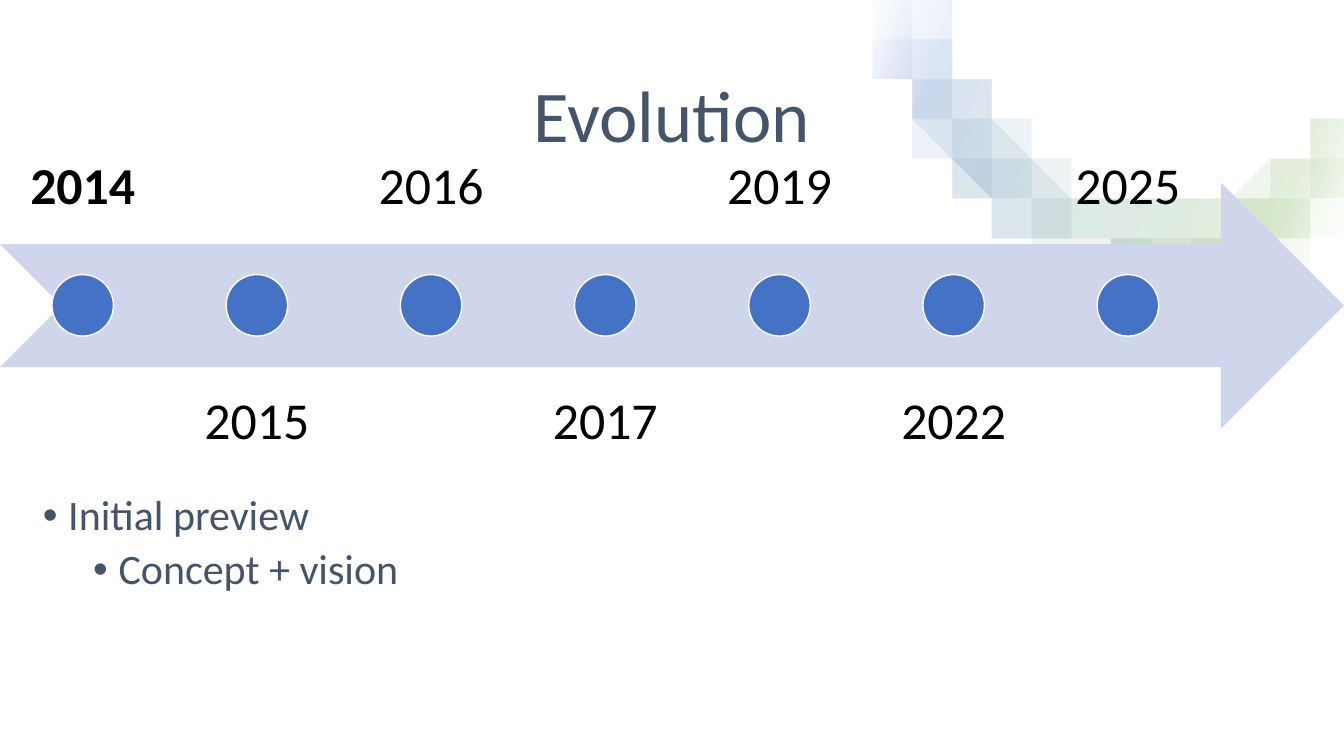
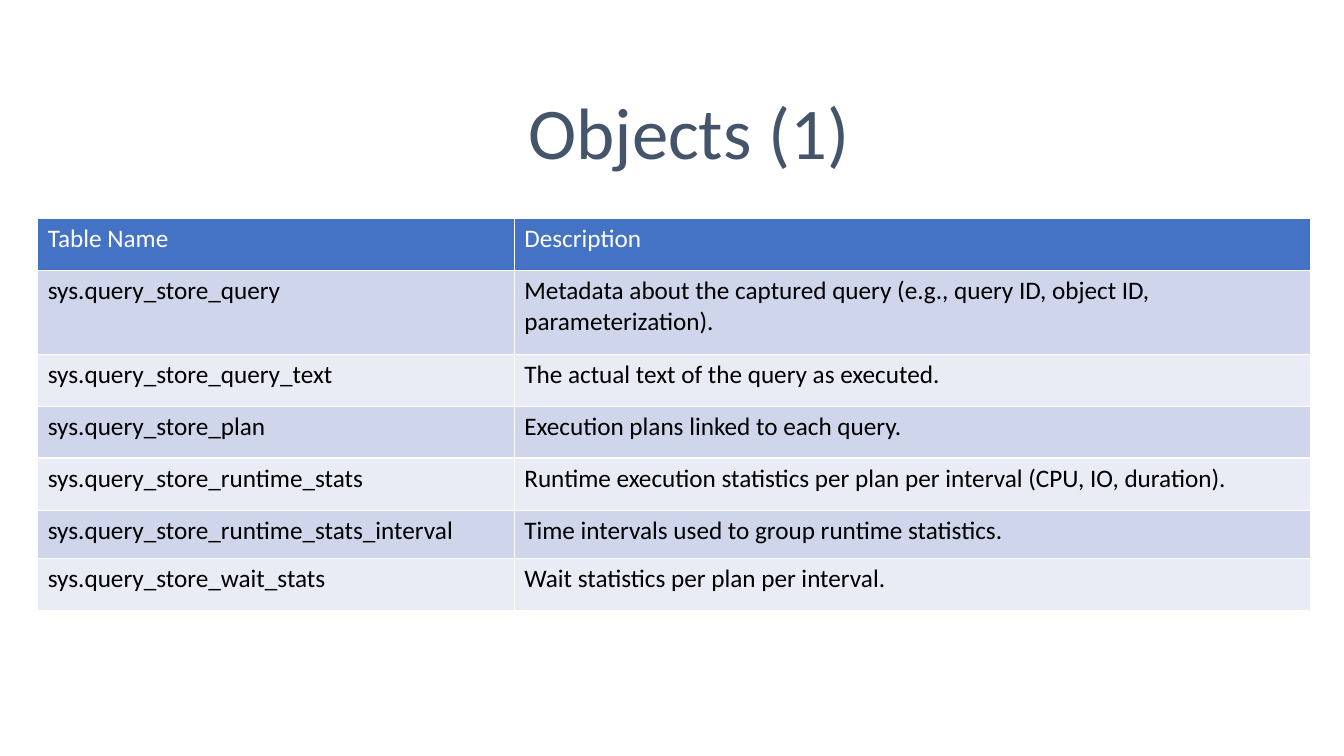
from lxml import etree
from pptx import Presentation
from pptx import util as u
from pptx.dml.color import RGBColor
from pptx.enum import shapes, text
from pptx.oxml import ns, parse_xml

FONT = "Calibri"
COLORS = {"title": "44546A", "accent": "4472C4", "green": "70AD47", "band": "CFD5EA",
          "light": "E9EBF5", "white": "FFFFFF", "black": "000000"}
CENTER = text.PP_ALIGN.CENTER
TOP, BOTTOM = text.MSO_ANCHOR.TOP, text.MSO_ANCHOR.BOTTOM


def write(frame, content, size=18, color="black", bold=False, align=None, anchor=TOP,
          inset=None, line=None, after=0, bullet_level=None, more=False):
    """Write one paragraph into a text frame; more=True adds it below the others."""
    paragraph = frame.add_paragraph() if more else frame.paragraphs[0]
    frame.word_wrap = True
    frame.vertical_anchor = anchor
    if inset is not None:
        frame.margin_left = frame.margin_right = u.Cm(inset)
        frame.margin_top = frame.margin_bottom = u.Cm(inset)
    paragraph.alignment = align
    paragraph.line_spacing = line
    paragraph.space_after = u.Pt(after)
    if bullet_level is not None:
        paragraph.level = bullet_level
        properties = paragraph._p.get_or_add_pPr()
        properties.set("marL", str(u.Cm(1.27 * (bullet_level + 1))))
        properties.set("indent", str(-u.Cm(0.64)))
        etree.SubElement(properties, ns.qn("a:buFont"), typeface="Arial")
        etree.SubElement(properties, ns.qn("a:buChar"), char="•")
    run = paragraph.add_run()
    run.text = content
    run.font.name, run.font.size, run.font.bold = FONT, u.Pt(size), bold
    run.font.color.rgb = RGBColor.from_string(COLORS[color])


def smooth(knots, steps=6):
    """Return points on a smooth curve through the knots."""
    padded = [knots[0], *knots, knots[-1]]
    points = [knots[0]]
    for a, b, c, d in zip(padded, padded[1:], padded[2:], padded[3:]):
        for step in range(1, steps + 1):
            t = step / steps
            points.append(tuple(
                b[i] + (c[i] - a[i]) * t / 2
                + (2 * a[i] - 5 * b[i] + 4 * c[i] - d[i]) * t ** 2 / 2
                + (3 * b[i] - a[i] - 3 * c[i] + d[i]) * t ** 3 / 2 for i in (0, 1)))
    return points


presentation = Presentation()
presentation.slide_width, presentation.slide_height = u.Cm(33.87), u.Cm(19.05)

# Slides with their titles; the ribbon goes behind the first title
titles = [("Evolution", 3.28, 1.32), ("Objects (1)", 3.71, 1.75)]
timeline_slide, objects_slide = [
    presentation.slides.add_slide(presentation.slide_layouts[6]) for _ in titles]

# Ribbon: upper and lower edge of each translucent layer, in cm
wide_edge = [(21.97, 0), (22.58, 1.91), (23.72, 3.43), (25.25, 5.11), (27.13, 6.22),
             (29.57, 6.6), (31.7, 6.15), (33.5, 5.08), (33.87, 4.83)]
ribbon_layers = [
    ([(21.95, 0), (22, 0.69), (22.23, 1.37), (22.78, 2.29), (23.72, 3.43), (24.92, 4.8),
      (26.04, 5.64), (27.33, 6.22), (28.7, 6.48), (30.12, 6.48), (31.47, 6.12),
      (32.72, 5.46), (33.87, 4.65)],
     [(21.84, 0), (21.92, 0.71), (22.12, 1.42), (22.63, 2.39), (23.65, 3.91),
      (24.51, 5.13), (25.63, 6.2), (27.05, 6.93), (28.63, 7.29), (30.25, 7.32),
      (31.83, 6.91), (33.22, 6.15), (33.87, 5.66)]),
    ([(22.43, 0), (22.48, 0.51), (22.71, 1.09), (23.47, 2.16), (24.38, 3.23),
      (25.3, 4.17), (26.29, 4.98), (27.43, 5.59), (28.73, 5.87), (30.05, 5.84),
      (31.27, 5.46), (32.39, 4.8), (33.87, 3.71)],
     [(21.97, 0), (22.1, 0.97), (22.5, 1.96), (23.27, 3.12), (24.05, 4.29),
      (24.89, 5.18), (25.73, 5.77), (27.15, 6.35), (28.63, 6.65), (30.15, 6.71),
      (31.67, 6.35), (33.02, 5.66), (33.87, 5.11)]),
    ([(23.37, 0), (23.4, 0.3), (23.67, 1.07), (24.36, 2.03), (24.87, 2.69),
      (26.21, 4.19), (27.76, 5.03), (29.57, 5.31), (31.37, 4.88), (33.15, 3.68),
      (33.87, 3.18)], wide_edge),
    ([(23.65, 0), (23.68, 0.3), (23.98, 1.02), (24.59, 1.85), (25.1, 2.54),
      (25.98, 3.61), (27.03, 4.42), (28.22, 4.88), (29.57, 5.03), (31.22, 4.65),
      (32.99, 3.48), (33.87, 2.84)], wide_edge),
]
stops = "".join(
    f'<a:gs pos="{position}000"><a:srgbClr val="{COLORS[name]}"><a:alpha val="10000"/>'
    f'</a:srgbClr></a:gs>'
    for position, name in [(2, "white"), (16, "green"), (85, "accent"), (100, "white")])
gradient = (f'<a:gradFill {ns.nsdecls("a")} rotWithShape="1"><a:gsLst>{stops}</a:gsLst>'
            f'<a:lin ang="{200 * 60000}" scaled="0"/></a:gradFill>')
for upper, lower in ribbon_layers:
    outline = smooth(upper) + smooth(lower)[::-1]
    builder = timeline_slide.shapes.build_freeform(*outline[0], scale=float(u.Cm(1)))
    builder.add_line_segments(outline[1:], close=True)
    shape = builder.convert_to_shape()
    shape.shadow.inherit = False
    shape.line.fill.background()
    shape._element.spPr.find(ns.qn("a:custGeom")).addnext(parse_xml(gradient))

# Titles
for slide, (title, left, top) in zip((timeline_slide, objects_slide), titles):
    box = slide.shapes.add_textbox(u.Cm(left), u.Cm(top), u.Cm(27.3), u.Cm(2.8))
    write(box.text_frame, title, size=52, color="title", align=CENTER, anchor=BOTTOM,
          line=0.9, after=6)

# Timeline arrow
arrow = timeline_slide.shapes.add_shape(
    shapes.MSO_SHAPE.NOTCHED_RIGHT_ARROW, 0, u.Cm(4.6), presentation.slide_width, u.Cm(6.2))
arrow.shadow.inherit = False
arrow.fill.solid()
arrow.fill.fore_color.rgb = RGBColor.from_string(COLORS["band"])
arrow.line.fill.background()

# Years alternate above and below the arrow, each with a dot
label_width, dot_size, pitch = 4.17, 1.55, 4.39
for index, year in enumerate(["2014", "2015", "2016", "2017", "2019", "2022", "2025"]):
    left = index * pitch
    above = index % 2 == 0
    box = timeline_slide.shapes.add_textbox(
        u.Cm(left), u.Cm(0 if above else 9.25), u.Cm(label_width), u.Cm(6.15))
    write(box.text_frame, year, size=37, bold=index == 0, align=CENTER,
          anchor=BOTTOM if above else TOP, inset=0.74, line=0.9)
    dot = timeline_slide.shapes.add_shape(
        shapes.MSO_SHAPE.OVAL, u.Cm(left + (label_width - dot_size) / 2), u.Cm(6.92),
        u.Cm(dot_size), u.Cm(dot_size))
    dot.shadow.inherit = False
    dot.fill.solid()
    dot.fill.fore_color.rgb = RGBColor.from_string(COLORS["accent"])
    dot.line.color.rgb = RGBColor.from_string(COLORS["white"])
    dot.line.width = u.Pt(1)

# Bullets below the timeline
box = timeline_slide.shapes.add_textbox(u.Cm(0.2), u.Cm(12.34), u.Cm(25.3), u.Cm(5.97))
for level, line in enumerate(["Initial preview", "Concept + vision"]):
    write(box.text_frame, line, size=30, color="title", line=0.9, after=6,
          bullet_level=level, more=level > 0)

# Table of objects
rows = [
    ("Table Name", "Description"),
    ("sys.query_store_query",
     "Metadata about the captured query (e.g., query ID, object ID, parameterization)."),
    ("sys.query_store_query_text", "The actual text of the query as executed."),
    ("sys.query_store_plan", "Execution plans linked to each query."),
    ("sys.query_store_runtime_stats",
     "Runtime execution statistics per plan per interval (CPU, IO, duration)."),
    ("sys.query_store_runtime_stats_interval",
     "Time intervals used to group runtime statistics."),
    ("sys.query_store_wait_stats", "Wait statistics per plan per interval."),
]
row_heights = [1.3, 2.13, 1.3, 1.3, 1.32, 1.22, 1.3]
column_widths = [12.01, 20.07]
table = objects_slide.shapes.add_table(
    len(rows), len(column_widths), u.Cm(0.95), u.Cm(5.51),
    u.Cm(sum(column_widths)), u.Cm(sum(row_heights))).table
for column, width in zip(table.columns, column_widths):
    column.width = u.Cm(width)
for row_index, (values, height) in enumerate(zip(rows, row_heights)):
    table.rows[row_index].height = u.Cm(height)
    header = row_index == 0
    fill = "accent" if header else "band" if row_index % 2 else "light"
    for column_index, value in enumerate(values):
        cell = table.cell(row_index, column_index)
        write(cell.text_frame, value, color="white" if header else "black")
        for side in ("lnL", "lnR", "lnT", "lnB"):
            border = etree.SubElement(cell._tc.get_or_add_tcPr(), ns.qn(f"a:{side}"),
                                      w=str(u.Pt(1)))
            solid = etree.SubElement(border, ns.qn("a:solidFill"))
            etree.SubElement(solid, ns.qn("a:srgbClr"), val=COLORS["white"])
        cell.fill.solid()
        cell.fill.fore_color.rgb = RGBColor.from_string(COLORS[fill])

presentation.save("out.pptx")
